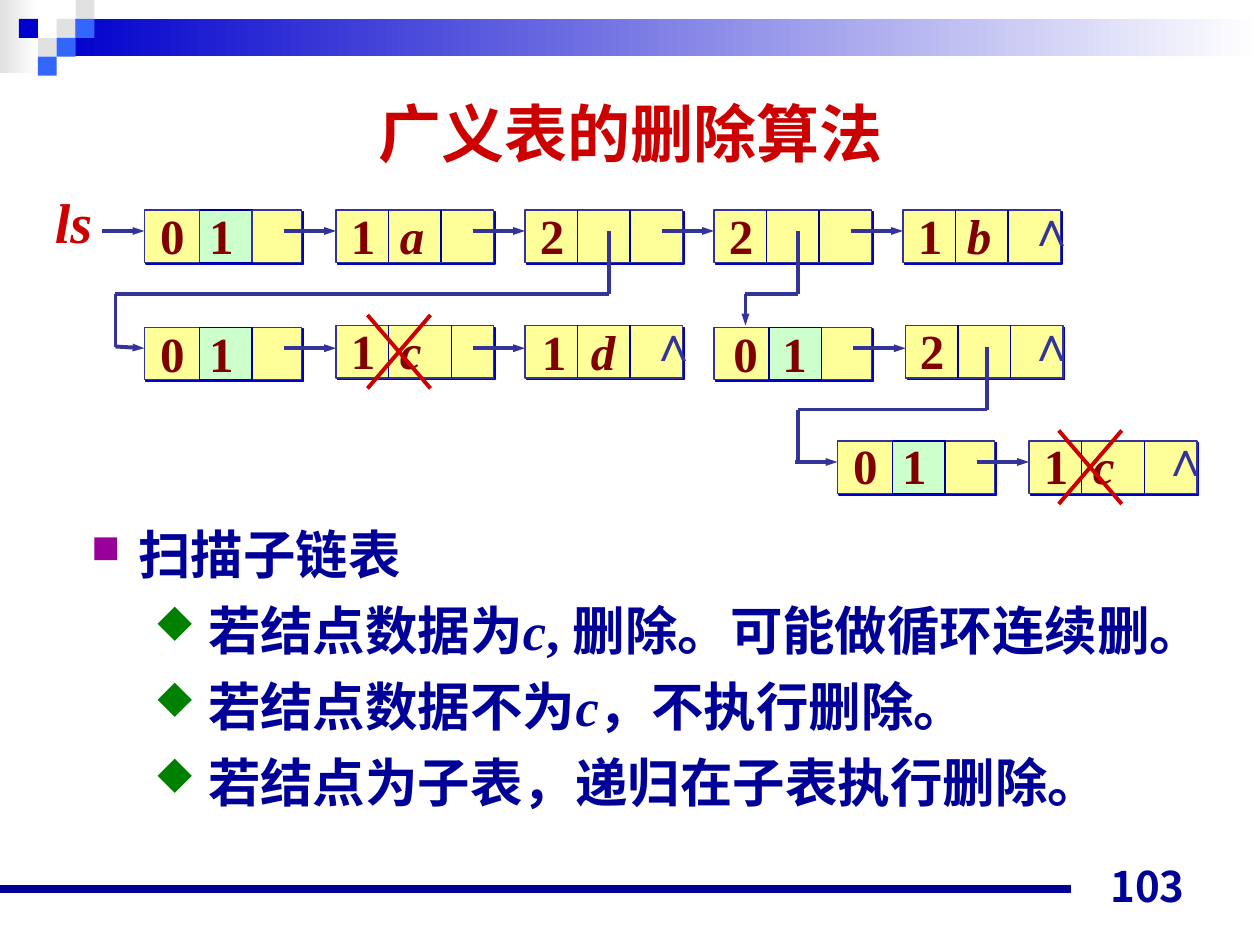
from lxml import etree
from pptx import Presentation
from pptx.dml.color import RGBColor as Color
from pptx.enum.shapes import MSO_CONNECTOR as Connector, MSO_SHAPE as Shape
from pptx.enum.text import MSO_ANCHOR as Anchor, PP_ALIGN as Align
from pptx.oxml import parse_xml
from pptx.oxml.ns import nsdecls, qn
from pptx.util import Pt

WHITE = Color(0xFF, 0xFF, 0xFF)
GRAY = Color(0xE1, 0xE1, 0xE1)
BLUE = Color(0x00, 0x00, 0xCC)
SKY = Color(0x33, 0x66, 0xFF)
NAVY = Color(0x00, 0x00, 0x99)
INDIGO = Color(0x33, 0x33, 0x99)
YELLOW = Color(0xFF, 0xFF, 0x99)
MINT = Color(0xCC, 0xFF, 0xCC)
MAROON = Color(0x80, 0x00, 0x00)
RED = Color(0xCC, 0x00, 0x00)
PURPLE = Color(0x99, 0x00, 0x99)
GREEN = Color(0x00, 0x80, 0x00)

SERIF = "Times New Roman"
CJK = "Noto Sans CJK JP"
CELL = 30

deck = Presentation()
deck.slide_width, deck.slide_height = Pt(720), Pt(540)
page = deck.slides.add_slide(deck.slide_layouts[6])


def draw_line(x1, y1, x2, y2, color, width, arrow=False):
    line = page.shapes.add_connector(Connector.STRAIGHT, Pt(x1), Pt(y1), Pt(x2), Pt(y2))
    line.line.color.rgb = color
    line.line.width = Pt(width)
    if arrow:
        etree.SubElement(line.line._get_or_add_ln(), qn("a:tailEnd"), type="triangle", w="sm", len="med")
    etree.SubElement(line._element.spPr, qn("a:effectLst"))


def add_spans(para, spans, **font_format):
    """Add (text, italic) spans that share one font format."""
    color = font_format.pop("color")
    for text, italic in spans:
        span = para.add_run()
        span.text = text
        for name, value in {**font_format, "bold": True, "italic": italic}.items():
            setattr(span.font, name, value)
        span.font.color.rgb = color
        etree.SubElement(span._r.get_or_add_rPr(), qn("a:ea"), typeface=CJK)


# Header bands, each fading to white
for left, top, width, height, color in [(0, 0, 22, 42, GRAY), (32.4, 10.8, 687.6, 21.3, BLUE)]:
    band = page.shapes.add_shape(Shape.RECTANGLE, Pt(left), Pt(top), Pt(width), Pt(height))
    band.shadow.inherit = False
    band.line.fill.background()
    band.fill.gradient()
    band.fill.gradient_angle = 0
    for stop, stop_color in zip(band.fill.gradient_stops, (color, WHITE)):
        stop.color.rgb = stop_color
    band.fill.gradient_stops[0].position = 0
    band.fill.gradient_stops[1].position = 1

# Header mosaic on a square grid
TILE = 10.8
for column, row, color in [(3, 1, GRAY), (4, 0, GRAY), (4, 1, SKY), (2, 2, GRAY),
                           (1, 1, BLUE), (3, 2, SKY), (2, 3, SKY)]:
    tile = page.shapes.add_shape(Shape.RECTANGLE, Pt(column * TILE), Pt(row * TILE), Pt(TILE), Pt(TILE))
    tile.shadow.inherit = False
    tile.fill.solid()
    tile.fill.fore_color.rgb = color
    tile.line.fill.background()

# Footer rule
draw_line(0, 508, 612, 508, NAVY, 4.5)

# List nodes: left, top, width, second divider, tag, data, label offset
nodes = [
    (82.5, 120, 90, 61.5, "0", "1", 2, -6),
    (192, 120, 90, 60, "1", "a", 1.5, -6),
    (300, 120, 90, 60, "2", "", 1.5, -6),
    (408, 120, 90, 60, "2", "", 1.5, -6),
    (516, 120, 90, 60, "1", "b", 1.5, -6),
    (82.5, 187, 90, 61.5, "0", "1", 2, -5.5),
    (192, 186, 90, 66, "1", "c", 1.5, -6.5),
    (300, 186, 90, 60, "1", "d", 2.5, -6),
    (408, 187, 90, 61.5, "0", "1", 4, -5.5),
    (517.5, 186, 90, 60, "2", "", 1, -6.5),
    (478.5, 252, 90, 61.5, "0", "1", 2, -6.5),
    (588, 252, 96, 66, "1", "c", 1.5, -6.5),
]
labels = []
for left, top, width, divider, tag, data, shift_x, shift_y in nodes:
    is_head = tag == "0"
    parts = [(left, width, YELLOW, INDIGO)]
    if is_head:
        parts.append((left + divider - CELL, CELL, MINT, NAVY))
    for x, part_width, fill, outline in parts:
        box = page.shapes.add_shape(Shape.RECTANGLE, Pt(x), Pt(top), Pt(part_width), Pt(CELL))
        box.shadow.inherit = False
        box.fill.solid()
        box.fill.fore_color.rgb = fill
        box.line.color.rgb = outline
        box.line.width = Pt(0.75)
        if fill == YELLOW:
            box._element.spPr.find(qn("a:effectLst")).append(parse_xml(
                f'<a:outerShdw {nsdecls("a")} blurRad="0" dist="{Pt(1.4)}" dir="2700000" '
                f'algn="ctr" rotWithShape="0"><a:srgbClr val="{BLUE}"/></a:outerShdw>'))
    if not is_head:
        for offset in (CELL, divider):
            draw_line(left + offset, top, left + offset, top + CELL, NAVY, 0.75)
    spans = [(tag, False)]
    if data:
        spans += [("\t", False), (data, data.isalpha())]
    labels.append((left + shift_x, top + shift_y, 58 if data else 30, spans, 28, SERIF, MAROON))

# Dividers of the first head node
for x in (114, 144):
    draw_line(x, 120, x, 120 + CELL, INDIGO, 0.75)

# Arrows into the nodes
arrows = [(58.5, 132, 82.5, 132), (66, 198, 82.5, 199), (426, 168, 426, 186), (454.5, 264, 478.5, 264)]
for y, targets in [(132, (192, 300, 408, 516)), (199, (192, 300, 517.5)), (264, (588,))]:
    arrows += [(x - CELL, y, x, y) for x in targets]
for arrow in arrows:
    draw_line(*arrow, INDIGO, 2.25, arrow=True)

# Wires from sublist nodes to their child lists
wires = [
    [(348, 132), (348, 168), (66, 168), (66, 198)],
    [(456, 132), (456, 168), (426, 168)],
    [(564, 198), (564, 234), (456, 234), (456, 264)],
]
for wire in wires:
    for start, end in zip(wire, wire[1:]):
        draw_line(*start, *end, INDIGO, 2.25)

# Labels: node contents, null marks and the list name
for left, top in [(580, 109.5), (364, 175), (580, 175), (656.6, 241)]:
    labels.append((left, top, 24, [("∧", False)], 28, "Arial", INDIGO))
labels.append((24.2, 103.7, 38, [("ls", True)], 32, SERIF, RED))
for left, top, width, spans, size, font, color in labels:
    box = page.shapes.add_textbox(Pt(left), Pt(top), Pt(width), Pt(size * 1.46))
    box.text_frame.word_wrap = True
    para = box.text_frame.paragraphs[0]
    if len(spans) > 1:
        tabs = etree.SubElement(para._p.get_or_add_pPr(), qn("a:tabLst"))
        etree.SubElement(tabs, qn("a:tab"), pos=str(Pt(28)), algn="l")
    add_spans(para, spans, size=Pt(size), name=font, color=color)

# Crosses over the deleted nodes
for left, top in [(210, 180), (605, 246)]:
    draw_line(left, top, left + 36, top + 42, RED, 2.25)
    draw_line(left + 36, top, left, top + 42, RED, 2.25)

# Title and page number
for left, top, width, height, text, anchor, align, size, font, color in [
    (36.5, 39.8, 648, 71.3, "广义表的删除算法", Anchor.MIDDLE, Align.CENTER, 36, "Arial", RED),
    (516, 488, 168, 36, "103", Anchor.BOTTOM, Align.RIGHT, 24, CJK, NAVY),
]:
    box = page.shapes.add_textbox(Pt(left), Pt(top), Pt(width), Pt(height))
    box.text_frame.word_wrap = True
    box.text_frame.vertical_anchor = anchor
    para = box.text_frame.paragraphs[0]
    para.alignment = align
    add_spans(para, [(text, False)], size=Pt(size), name=font, color=color)

# Deletion rules; in Wingdings, n is a square and u a diamond
rules = [
    (0, [("扫描子链表", False)]),
    (1, [(" 若结点数据为", False), ("c", True), (", 删除。可能做循环连续删。", False)]),
    (1, [(" 若结点数据不为", False), ("c", True), ("，不执行删除。", False)]),
    (1, [(" 若结点为子表，递归在子表执行删除。", False)]),
]
bullets = [("n", PURPLE, 75, 27, 27), ("u", GREEN, 80, 58.5, 22.5)]
box = page.shapes.add_textbox(Pt(45), Pt(295.2), Pt(659), Pt(306))
frame = box.text_frame
frame.word_wrap = True
for index, (level, spans) in enumerate(rules):
    para = frame.add_paragraph() if index else frame.paragraphs[0]
    mark, mark_color, percent, margin, hanging = bullets[level]
    para.level = level
    para.line_spacing = Pt(35.8)
    para.space_before = Pt(7.5 if index else 0)
    props = para._p.get_or_add_pPr()
    for name, value in {"marL": Pt(margin), "indent": -Pt(hanging), "hangingPunct": 0}.items():
        props.set(name, str(value))
    bullet_color = etree.SubElement(props, qn("a:buClr"))
    etree.SubElement(bullet_color, qn("a:srgbClr"), val=str(mark_color))
    etree.SubElement(props, qn("a:buSzPct"), val=str(percent * 1000))
    etree.SubElement(props, qn("a:buFont"), typeface="Wingdings", charset="2")
    etree.SubElement(props, qn("a:buChar"), char=mark)
    add_spans(para, spans, size=Pt(30), name=SERIF, color=NAVY)

deck.save("out.pptx")
